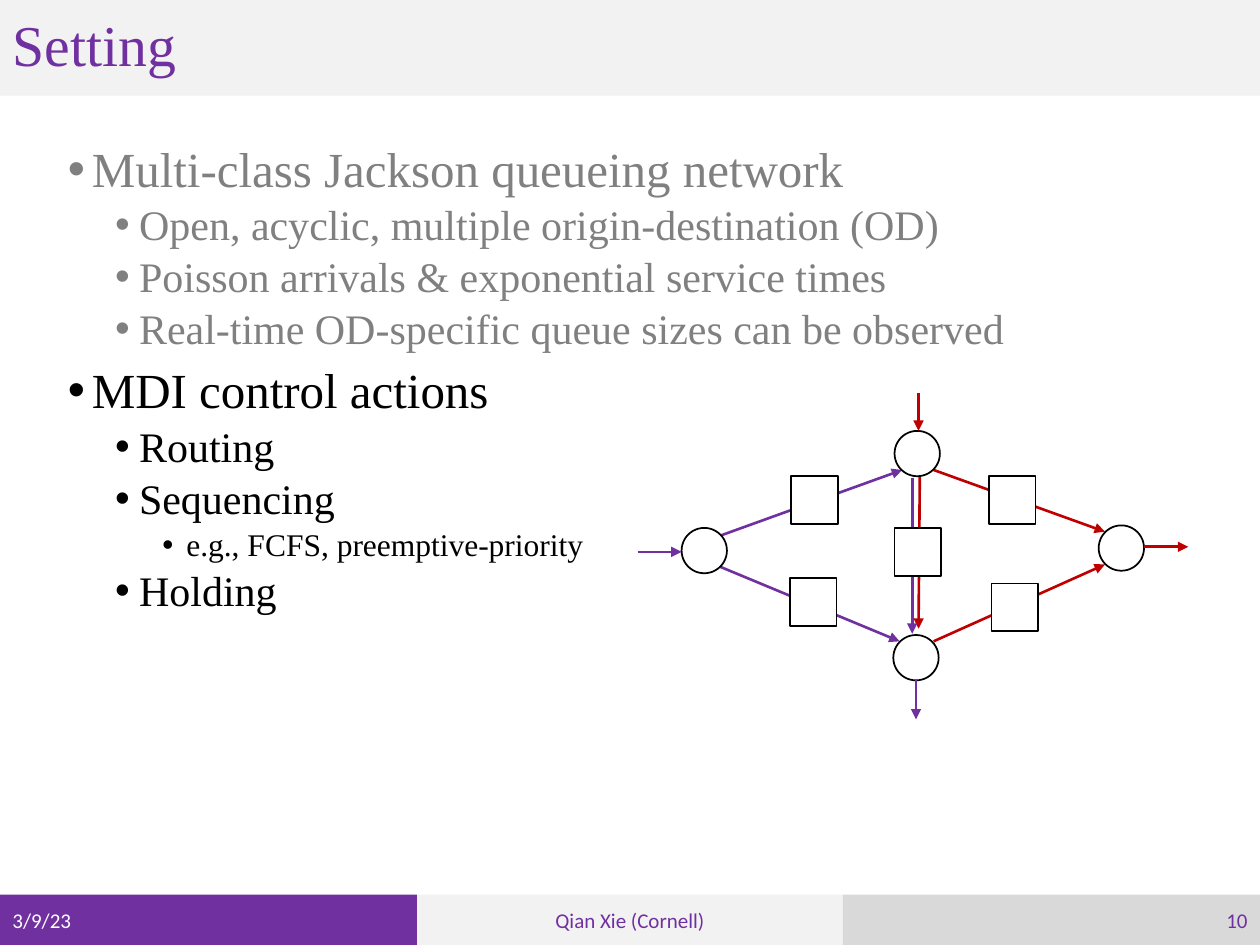
from lxml.etree import SubElement
from pptx import Presentation
from pptx.dml.color import RGBColor
from pptx.enum.shapes import MSO_CONNECTOR, MSO_SHAPE
from pptx.enum.text import MSO_ANCHOR, PP_ALIGN
from pptx.oxml.ns import qn
from pptx.util import Inches, Pt

COLORS = {"purple": "7030A0", "red": "C00000", "gray": "808080", "black": "000000",
          "white": "FFFFFF", "light": "F2F2F2", "silver": "D9D9D9"}
SERIF = "Times New Roman"

BULLETS = [
    (0, "Multi-class Jackson queueing network", "gray"),
    (1, "Open, acyclic, multiple origin-destination (OD)", "gray"),
    (1, "Poisson arrivals & exponential service times", "gray"),
    (1, "Real-time OD-specific queue sizes can be observed", "gray"),
    (0, "MDI control actions", "black"),
    (1, "Routing", "black"),
    (1, "Sequencing", "black"),
    (2, "e.g., FCFS, preemptive-priority", "black"),
    (1, "Holding", "black"),
]
LEVEL_SIZES = [28, 24, 18]
LEVEL_SPACES = [7.5, 3.75, 3.75]

FOOTER = [
    ("3/9/23", 0, 3.31, "purple", "white", PP_ALIGN.LEFT),
    ("Qian Xie (Cornell)", 3.31, 3.38, "light", "purple", PP_ALIGN.CENTER),
    ("10", 6.69, 3.31, "silver", "purple", PP_ALIGN.RIGHT),
]

LINKS = [
    ((7.3, 3.78), (7.29, 4.99), "red"),
    ((5.72, 4.25), (7.16, 3.73), "purple"),
    ((5.72, 4.5), (7.14, 5.09), "purple"),
    ((7.24, 3.79), (7.24, 5.03), "purple"),
    ((7.41, 3.73), (8.77, 4.22), "red"),
    ((7.41, 5.09), (8.77, 4.48), "red"),
]
OUTER_FLOWS = [
    ((5.06, 4.38), (5.41, 4.38), "purple"),
    ((7.27, 5.4), (7.27, 5.71), "purple"),
    ((9.08, 4.34), (9.43, 4.34), "red"),
    ((7.29, 3.12), (7.29, 3.42), "red"),
]
NODES = [(5.41, 4.19), (7.1, 3.42), (8.72, 4.17), (7.09, 5.04)]
SERVERS = [(6.28, 3.78), (7.85, 3.78), (6.27, 4.59), (7.87, 4.63), (7.1, 4.19)]


def color(name):
    return RGBColor.from_string(COLORS[name])


def set_font(paragraph, name, size, color_name):
    paragraph.font.name = name
    paragraph.font.size = Pt(size)
    paragraph.font.color.rgb = color(color_name)


def add_shape(slide, kind, left, top, width, height, fill):
    shape = slide.shapes.add_shape(
        kind, Inches(left), Inches(top), Inches(width), Inches(height))
    shape.shadow.inherit = False
    shape.fill.solid()
    shape.fill.fore_color.rgb = color(fill)
    shape.line.fill.background()
    return shape


def add_outlined(slide, kind, positions, width, height):
    for left, top in positions:
        shape = add_shape(slide, kind, left, top, width, height, "white")
        shape.line.color.rgb = color("black")
        shape.line.width = Pt(1)


def add_arrows(slide, arrows):
    for start, end, color_name in arrows:
        connector = slide.shapes.add_connector(
            MSO_CONNECTOR.STRAIGHT, *(Inches(value) for value in start + end))
        connector.line.color.rgb = color(color_name)
        connector.line.width = Pt(1.5)
        SubElement(connector.line._get_or_add_ln(), qn("a:tailEnd"), type="triangle")
        SubElement(connector._element.spPr, qn("a:effectLst"))


def add_title(slide):
    title = slide.shapes.title
    title.left, title.top, title.width, title.height = 0, 0, Inches(10), Inches(0.76)
    title.fill.solid()
    title.fill.fore_color.rgb = color("light")
    title.text_frame.text = "Setting"
    title.text_frame.vertical_anchor = MSO_ANCHOR.MIDDLE
    paragraph = title.text_frame.paragraphs[0]
    paragraph.alignment = PP_ALIGN.LEFT
    paragraph.line_spacing = 0.9
    set_font(paragraph, SERIF, 33, "purple")


def add_bullets(slide):
    box = slide.shapes.add_textbox(Inches(0.44), Inches(1.1), Inches(9.15), Inches(5.64))
    frame = box.text_frame
    frame.word_wrap = True
    for index, (level, text, color_name) in enumerate(BULLETS):
        paragraph = frame.add_paragraph() if index else frame.paragraphs[0]
        paragraph.text = text
        paragraph.level = level
        paragraph.line_spacing = 0.9
        if index:
            paragraph.space_before = Pt(LEVEL_SPACES[level])
        properties = paragraph._p.get_or_add_pPr()
        properties.set("marL", str(Inches(0.19 + 0.375 * level)))
        properties.set("indent", str(-Inches(0.19)))
        SubElement(properties, qn("a:buFont"), typeface="Arial")
        SubElement(properties, qn("a:buChar"), char="•")
        set_font(paragraph, SERIF, LEVEL_SIZES[level], color_name)


def add_footer(slide):
    for text, left, width, fill, text_color, alignment in FOOTER:
        shape = add_shape(slide, MSO_SHAPE.RECTANGLE, left, 7.1, width, 0.4, fill)
        shape.text_frame.text = text
        shape.text_frame.vertical_anchor = MSO_ANCHOR.MIDDLE
        paragraph = shape.text_frame.paragraphs[0]
        paragraph.alignment = alignment
        set_font(paragraph, "Calibri", 12, text_color)


def main():
    presentation = Presentation()
    presentation.slide_width, presentation.slide_height = Inches(10), Inches(7.5)
    slide = presentation.slides.add_slide(presentation.slide_layouts[5])
    add_title(slide)
    add_bullets(slide)
    add_footer(slide)
    add_arrows(slide, LINKS)
    add_outlined(slide, MSO_SHAPE.OVAL, NODES, 0.36, 0.36)
    add_outlined(slide, MSO_SHAPE.RECTANGLE, SERVERS, 0.37, 0.38)
    add_arrows(slide, OUTER_FLOWS)
    presentation.save("out.pptx")


if __name__ == "__main__":
    main()
